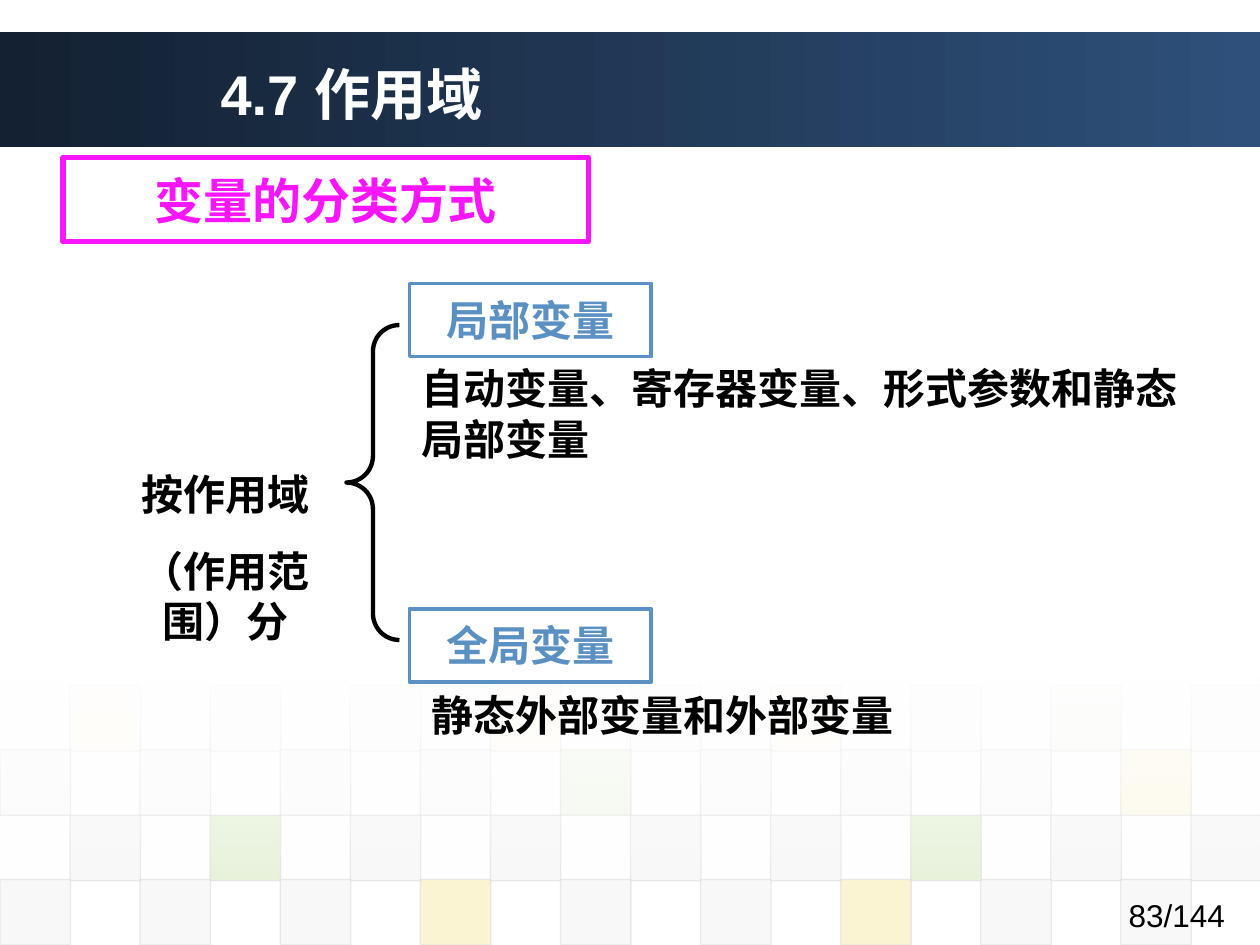
"""Build the slide on variable scope and how variables are classified."""
from dataclasses import dataclass

import pptx
import pptx.dml.color
import pptx.enum.shapes
import pptx.enum.text
import pptx.oxml.ns
import pptx.util
from lxml import etree

Inches = pptx.util.Inches
Pt = pptx.util.Pt
SHAPES = pptx.enum.shapes.MSO_SHAPE
ALIGN = pptx.enum.text.PP_ALIGN
ANCHOR = pptx.enum.text.MSO_ANCHOR

FONT = "Arial"
BLACK, WHITE, BLUE, PINK = "000000", "FFFFFF", "5A90C2", "F915FF"
TILE_COLORS = {"D": "DDDDDD", "E": "EAEAEA", "G": "8AC246", "Y": "EFC821"}
TILE_PITCH = 0.556


@dataclass
class Box:
    left: float
    top: float
    width: float
    height: float


@dataclass
class TileRow:
    top: float
    first_column: int
    colors: str
    opacity: int


@dataclass
class Label:
    box: Box
    text: str
    size: float = 24
    color: str = BLACK
    bold: bool = True
    centered: bool = False
    middle: bool = False
    inset: float = 0.1


@dataclass
class Frame:
    box: Box
    text: str
    size: float
    color: str
    line_width: float


TILE_ROWS = [
    TileRow(5.44, 1, "YEEYDYEGE", 5),
    TileRow(5.95, 0, "DDDDGDDDY", 10),
    TileRow(6.47, 1, "DGDDDDGDD", 20),
    TileRow(6.98, 0, "DDDYDDYDD", 20),
]

LABELS = [
    Label(Box(8.86, 7.06, 1.1, 0.4), "83/144", size=18, bold=False),
    Label(Box(1.53, 0.28, 8.08, 0.92), "4.7 作用域", size=32, color=WHITE, middle=True, inset=0.22),
    Label(Box(0.75, 3.67, 2.08, 1.51), "按作用域\n（作用范围）分", centered=True),
    Label(Box(3.25, 2.83, 6.42, 0.9), "自动变量、寄存器变量、形式参数和静态局部变量"),
    Label(Box(3.33, 5.42, 6.33, 0.5), "静态外部变量和外部变量"),
]

FRAMES = [
    Frame(Box(0.5, 1.25, 4.17, 0.67), "变量的分类方式", 28, PINK, 3),
    Frame(Box(3.25, 2.25, 1.92, 0.58), "局部变量", 24, BLUE, 2.25),
    Frame(Box(3.25, 4.83, 1.92, 0.58), "全局变量", 24, BLUE, 2.25),
]


def rgb(color: str):
    """Turn a hex string into a colour."""
    return pptx.dml.color.RGBColor.from_string(color)


def position(box: Box) -> list:
    """Give the box as four lengths."""
    return [Inches(value) for value in (box.left, box.top, box.width, box.height)]


def set_opacity(element, percent: int) -> None:
    """Add an opacity to every RGB colour below the element."""
    for color in element.iter(pptx.oxml.ns.qn("a:srgbClr")):
        etree.SubElement(color, pptx.oxml.ns.qn("a:alpha"), val=str(percent * 1000))


def add_shape(slide, kind, box: Box):
    """Add a preset shape without shadow, fill or line."""
    shape = slide.shapes.add_shape(kind, *position(box))
    shape.shadow.inherit = False
    shape.fill.background()
    shape.line.fill.background()
    return shape


def set_line(shape, color: str, width: float) -> None:
    """Give the shape a solid outline."""
    shape.line.color.rgb = rgb(color)
    shape.line.width = Pt(width)


def add_gradient(slide, box: Box, colors: list[str], angle: float, opacities: list[int]) -> None:
    """Add a rectangle with a two-stop gradient."""
    shape = add_shape(slide, SHAPES.RECTANGLE, box)
    shape.fill.gradient()
    shape.fill.gradient_angle = angle
    for stop, color in zip(shape.fill.gradient_stops, colors):
        stop.color.rgb = rgb(color)
    stops = shape.element.spPr.iter(pptx.oxml.ns.qn("a:gs"))
    for stop, opacity in zip(stops, opacities):
        set_opacity(stop, opacity)


def add_tiles(slide, row: TileRow) -> None:
    """Add one row of the checkered pattern."""
    for index, key in enumerate(row.colors):
        left = (row.first_column + 2 * index) * TILE_PITCH
        tile = add_shape(slide, SHAPES.RECTANGLE, Box(left, row.top, 0.56, 0.52))
        tile.fill.solid()
        tile.fill.fore_color.rgb = rgb(TILE_COLORS[key])
        set_opacity(tile.element.spPr, row.opacity)
        set_line(tile, "DDDDDD", 0.75)
        set_opacity(tile.element.spPr.find(pptx.oxml.ns.qn("a:ln")), 60)


def write_text(shape, text: str, size: float, color: str, bold: bool, centered: bool) -> None:
    """Write and format the text of a shape."""
    shape.text_frame.text = text
    for index, paragraph in enumerate(shape.text_frame.paragraphs):
        paragraph.alignment = ALIGN.CENTER if centered else ALIGN.LEFT
        if index:
            paragraph.space_before = Pt(15)
        for run in paragraph.runs:
            run.font.name = FONT
            run.font.size = Pt(size)
            run.font.bold = bold
            run.font.color.rgb = rgb(color)


def add_label(slide, label: Label) -> None:
    """Add a wrapping text box."""
    shape = slide.shapes.add_textbox(*position(label.box))
    frame = shape.text_frame
    frame.word_wrap = True
    frame.margin_left = Inches(label.inset)
    frame.vertical_anchor = ANCHOR.MIDDLE if label.middle else ANCHOR.TOP
    write_text(shape, label.text, label.size, label.color, label.bold, label.centered)


def add_frame(slide, frame: Frame) -> None:
    """Add an outlined rectangle with centred text."""
    shape = add_shape(slide, SHAPES.RECTANGLE, frame.box)
    set_line(shape, frame.color, frame.line_width)
    shape.text_frame.word_wrap = False
    shape.text_frame.vertical_anchor = ANCHOR.MIDDLE
    write_text(shape, frame.text, frame.size, frame.color, True, True)


def main() -> None:
    """Build and save the presentation."""
    presentation = pptx.Presentation()
    presentation.slide_width = Inches(10)
    presentation.slide_height = Inches(7.5)
    slide = presentation.slides.add_slide(presentation.slide_layouts[6])

    add_gradient(slide, Box(0, 0.25, 10, 0.92), ["132132", "2E507A"], 0, [100, 100])
    for row in TILE_ROWS:
        add_tiles(slide, row)
    add_gradient(slide, Box(0, 5.37, 10, 1.62), [WHITE, WHITE], 270, [90, 0])

    brace = add_shape(slide, SHAPES.LEFT_BRACE, Box(2.75, 2.58, 0.42, 2.5))
    brace.adjustments[0] = 0.5
    set_line(brace, BLACK, 2.5)
    for label in LABELS:
        add_label(slide, label)
    for frame in FRAMES:
        add_frame(slide, frame)
    presentation.save("out.pptx")


if __name__ == "__main__":
    main()
